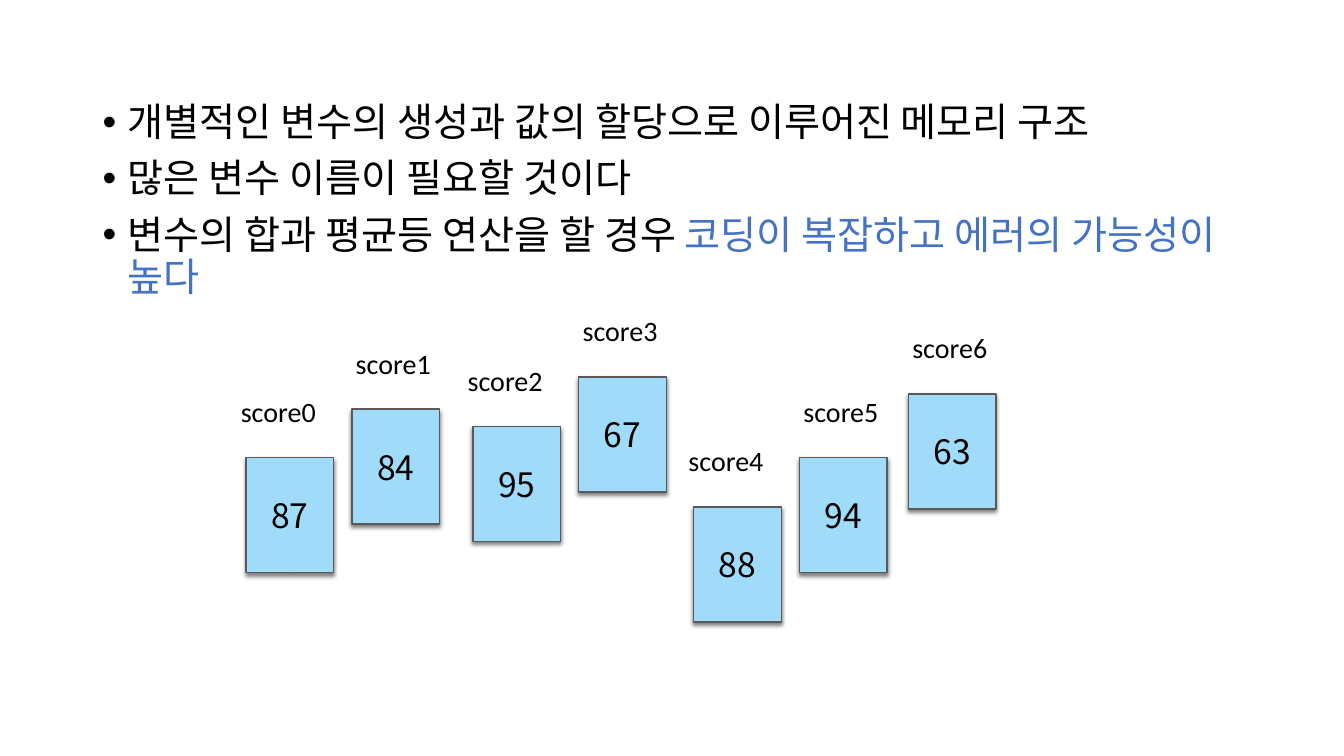
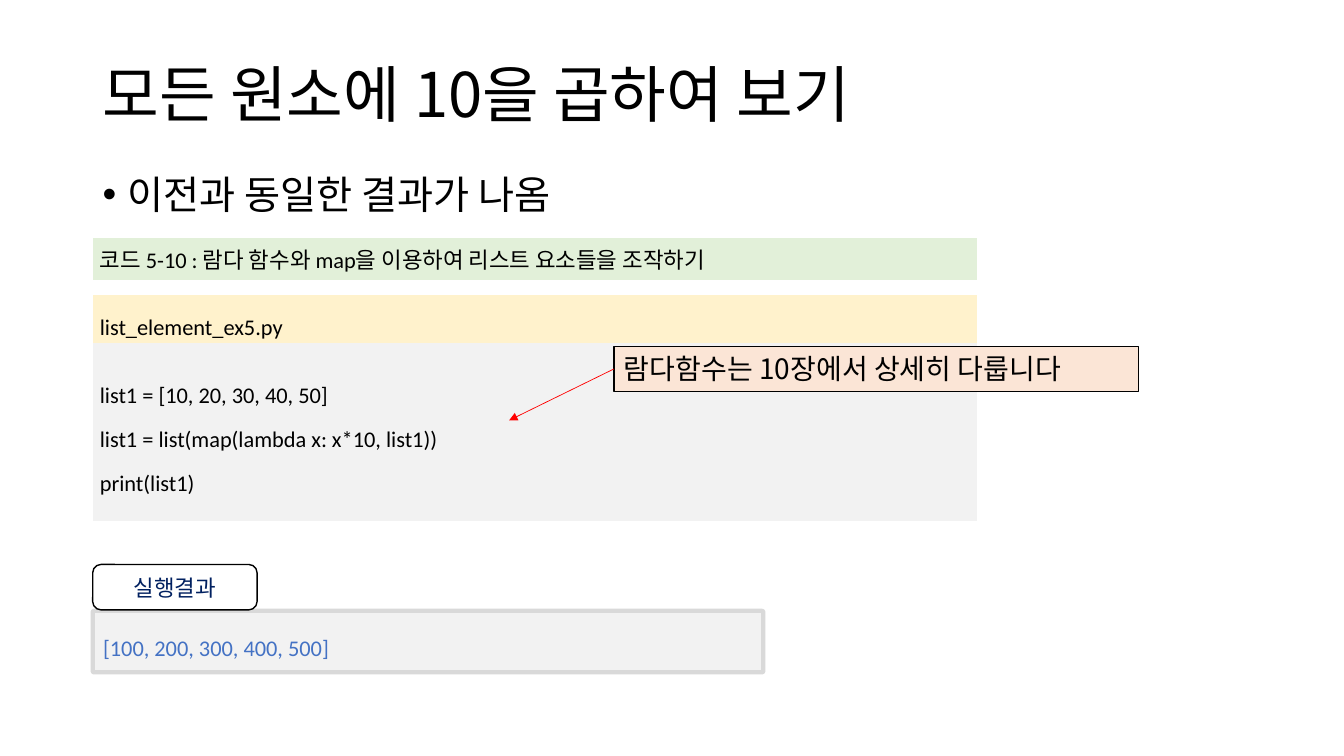
from lxml.etree import SubElement
from pptx import Presentation
from pptx.dml.color import RGBColor
from pptx.enum.shapes import MSO_CONNECTOR, MSO_SHAPE
from pptx.enum.text import MSO_ANCHOR, MSO_AUTO_SIZE, PP_ALIGN
from pptx.oxml.ns import qn
from pptx.util import Emu, Pt

PX = 9144  # 100 px to the inch
SLIDE_SIZE = (1333, 750)
HANGUL, LATIN = "Noto Sans CJK KR", "Calibri"
BLACK, BLUE, NAVY, RED = "000000", "4472C4", "002060", "FF0000"
GREY, PALE_GREY, DARK_GREY = "D9D9D9", "F2F2F2", "595959"
SKY, GREEN, YELLOW, PEACH, WHITE = "A0DCF9", "E2F0D9", "FFF2CC", "FBE5D6", "FFFFFF"
NO_TABLE_STYLE = "{2D5ABB26-0587-4C30-8999-92F81FD0307C}"

TITLE_STYLE = {"size": 44, "align": PP_ALIGN.LEFT, "line_spacing": 0.9}
BULLET_STYLE = {"size": 28, "line_spacing": 0.9, "space_before": Pt(10), "bullet": True}
CODE_STYLE = {"size": 16, "font": LATIN, "align": PP_ALIGN.JUSTIFY, "line_spacing": 1.6}

MEMORY_POINTS = [
    "개별적인 변수의 생성과 값의 할당으로 이루어진 메모리 구조",
    "많은 변수 이름이 필요할 것이다",
    [("변수의 합과 평균등 연산을 할 경우 ", BLACK),
     ("코딩이 복잡하고 에러의 가능성이 높다", BLUE)],
]
# value, box left, box top, distance from label left to box left
SCORES = [
    (87, 244, 454, 29), (84, 349, 406, 20), (95, 469, 423, 29), (67, 574, 374, 20),
    (88, 688, 503, 29), (94, 793, 454, 20), (63, 901, 391, 20),
]
SCORE_BOX, SCORE_LABEL, LABEL_RISE = (87, 114), (122, 70), 81

LAMBDA_TITLE = "모든 원소에 10을 곱하여 보기"
LAMBDA_POINTS = ["이전과 동일한 결과가 나옴"]
# height, fill, lines, style
CODE_ROWS = [
    (42, GREEN, ["코드 5-10 : 람다 함수와 map을 이용하여 리스트 요소들을 조작하기"],
     {"size": 16, "font": LATIN}),
    (15, None, [], {}),
    (42, YELLOW, ["list_element_ex5.py"], CODE_STYLE),
    (176, PALE_GREY, ["list1 = [10, 20, 30, 40, 50]",
                      "list1 = list(map(lambda x: x*10, list1))",
                      "print(list1)"], CODE_STYLE),
]
CALLOUT = "람다함수는 10장에서 상세히 다룹니다"
RESULT_LABEL, RESULT = "실행결과", "[100, 200, 300, 400, 500]"


def color(hex_text):
    return RGBColor.from_string(hex_text)


def px(*lengths):
    return [Emu(length * PX) for length in lengths]


def set_all(target, values):
    for name, value in values.items():
        setattr(target, name, value)


def set_frame(frame, anchor=MSO_ANCHOR.TOP, wrap=True, insets=(10, 5, 10, 5)):
    left, top, right, bottom = px(*insets)
    set_all(frame, {
        "auto_size": MSO_AUTO_SIZE.NONE, "word_wrap": wrap, "vertical_anchor": anchor,
        "margin_left": left, "margin_top": top,
        "margin_right": right, "margin_bottom": bottom,
    })


def write(frame, lines, size=16, font=HANGUL, ink=BLACK, align=None,
          line_spacing=None, space_before=None, bullet=False):
    """Fill a text frame; a line is a string or a list of (text, colour) runs."""
    for index, line in enumerate(lines):
        paragraph = frame.paragraphs[0] if index == 0 else frame.add_paragraph()
        set_all(paragraph, {"alignment": align, "line_spacing": line_spacing,
                            "space_before": space_before})
        if bullet:
            properties = paragraph._p.get_or_add_pPr()
            properties.set("marL", str(25 * PX))
            properties.set("indent", str(-25 * PX))
            SubElement(properties, qn("a:buFont")).set("typeface", "Arial")
            SubElement(properties, qn("a:buChar")).set("char", "•")
        for text, run_ink in [(line, ink)] if isinstance(line, str) else line:
            run = paragraph.add_run()
            run.text = text
            set_all(run.font, {"size": Pt(size), "name": font})
            run.font.color.rgb = color(run_ink)
            SubElement(run._r.get_or_add_rPr(), qn("a:ea")).set("typeface", HANGUL)


def add_text(slide, box, lines, frame_format=None, **style):
    frame = slide.shapes.add_textbox(*px(*box)).text_frame
    set_frame(frame, **(frame_format or {}))
    write(frame, lines, **style)


def add_box(slide, kind, box, fill, line, weight, lines, frame_format=None, **style):
    shape = slide.shapes.add_shape(kind, *px(*box))
    shape.shadow.inherit = False
    shape.fill.solid()
    shape.fill.fore_color.rgb = color(fill)
    shape.line.color.rgb = color(line)
    shape.line.width = Pt(weight)
    set_frame(shape.text_frame, **(frame_format or {}))
    write(shape.text_frame, lines, **style)
    return shape


def add_drop_shadow(shape):
    effects = shape._element.spPr.find(qn("a:effectLst"))
    shadow = SubElement(effects, qn("a:outerShdw"), blurRad=str(Pt(3)),
                        dist=str(Pt(2)), dir="5400000", rotWithShape="0")
    ink = SubElement(shadow, qn("a:srgbClr"), val=BLACK)
    SubElement(ink, qn("a:alpha"), val="50000")


def add_code_table(slide, left, top, width):
    heights = [row[0] for row in CODE_ROWS]
    table = slide.shapes.add_table(
        len(CODE_ROWS), 1, *px(left, top, width, sum(heights))).table
    set_all(table, {"first_row": False, "horz_banding": False})
    table._tbl.tblPr.find(qn("a:tableStyleId")).text = NO_TABLE_STYLE
    side, edge = px(7, 2)
    for index, (height, fill, lines, style) in enumerate(CODE_ROWS):
        table.rows[index].height = Emu(height * PX)
        cell = table.cell(index, 0)
        set_all(cell, {"vertical_anchor": MSO_ANCHOR.MIDDLE, "margin_left": side,
                       "margin_right": side, "margin_top": edge, "margin_bottom": edge})
        if fill:
            cell.fill.solid()
            cell.fill.fore_color.rgb = color(fill)
        else:
            cell.fill.background()
            SubElement(cell.text_frame.paragraphs[0]._p, qn("a:endParaRPr"), sz="400")
        write(cell.text_frame, lines, **style)


def add_arrow(slide, source, side, end):
    arrow = slide.shapes.add_connector(MSO_CONNECTOR.STRAIGHT, 0, 0, *px(*end))
    arrow.begin_connect(source, side)
    arrow.line.color.rgb = color(RED)
    arrow.line.width = Pt(0.5)
    properties = arrow._element.spPr
    SubElement(properties.find(qn("a:ln")), qn("a:tailEnd"), type="triangle")
    SubElement(properties, qn("a:effectLst"))


def build_memory_slide(presentation):
    slide = presentation.slides.add_slide(presentation.slide_layouts[6])
    add_text(slide, (92, 97, 1150, 476), MEMORY_POINTS, **BULLET_STYLE)
    centred = {"anchor": MSO_ANCHOR.MIDDLE, "insets": (6, 6, 6, 6)}
    for index, (value, left, top, shift) in enumerate(SCORES):
        box = add_box(slide, MSO_SHAPE.RECTANGLE, (left, top, *SCORE_BOX), SKY,
                      DARK_GREY, 1, [str(value)], centred,
                      size=24, align=PP_ALIGN.CENTER)
        add_drop_shadow(box)
        add_text(slide, (left - shift, top - LABEL_RISE, *SCORE_LABEL),
                 [f"score{index}"], {**centred, "wrap": False},
                 size=20, font=LATIN, align=PP_ALIGN.CENTER)


def build_lambda_slide(presentation):
    slide = presentation.slides.add_slide(presentation.slide_layouts[5])
    title = slide.shapes.title
    left, top, width, height = px(92, 24, 1150, 145)
    set_all(title, {"left": left, "top": top, "width": width, "height": height})
    set_frame(title.text_frame, anchor=MSO_ANCHOR.MIDDLE)
    write(title.text_frame, [LAMBDA_TITLE], **TITLE_STYLE)

    add_text(slide, (92, 169, 1218, 60), LAMBDA_POINTS, **BULLET_STYLE)
    add_code_table(slide, 92, 236, 877)

    panel = add_box(slide, MSO_SHAPE.ROUNDED_RECTANGLE, (92, 606, 665, 61), PALE_GREY,
                    GREY, 3, [RESULT], {"insets": (10, 9, 10, 0)}, font=LATIN,
                    ink=BLUE, align=PP_ALIGN.LEFT, line_spacing=1.5)
    panel.adjustments[0] = 0.02
    tab = add_box(slide, MSO_SHAPE.ROUNDED_RECTANGLE, (92, 560, 163, 45), WHITE,
                  BLACK, 1, [RESULT_LABEL], {"anchor": MSO_ANCHOR.MIDDLE},
                  ink=NAVY, align=PP_ALIGN.CENTER)
    tab.adjustments[0] = 0.18

    callout = add_box(slide, MSO_SHAPE.RECTANGLE, (609, 344, 520, 44), PEACH, BLACK,
                      0.75, [CALLOUT], size=20, align=PP_ALIGN.LEFT)
    add_arrow(slide, callout, 1, (505, 417))


def main():
    presentation = Presentation()
    width, height = px(*SLIDE_SIZE)
    set_all(presentation, {"slide_width": width, "slide_height": height})
    build_memory_slide(presentation)
    build_lambda_slide(presentation)
    presentation.save("out.pptx")


if __name__ == "__main__":
    main()
